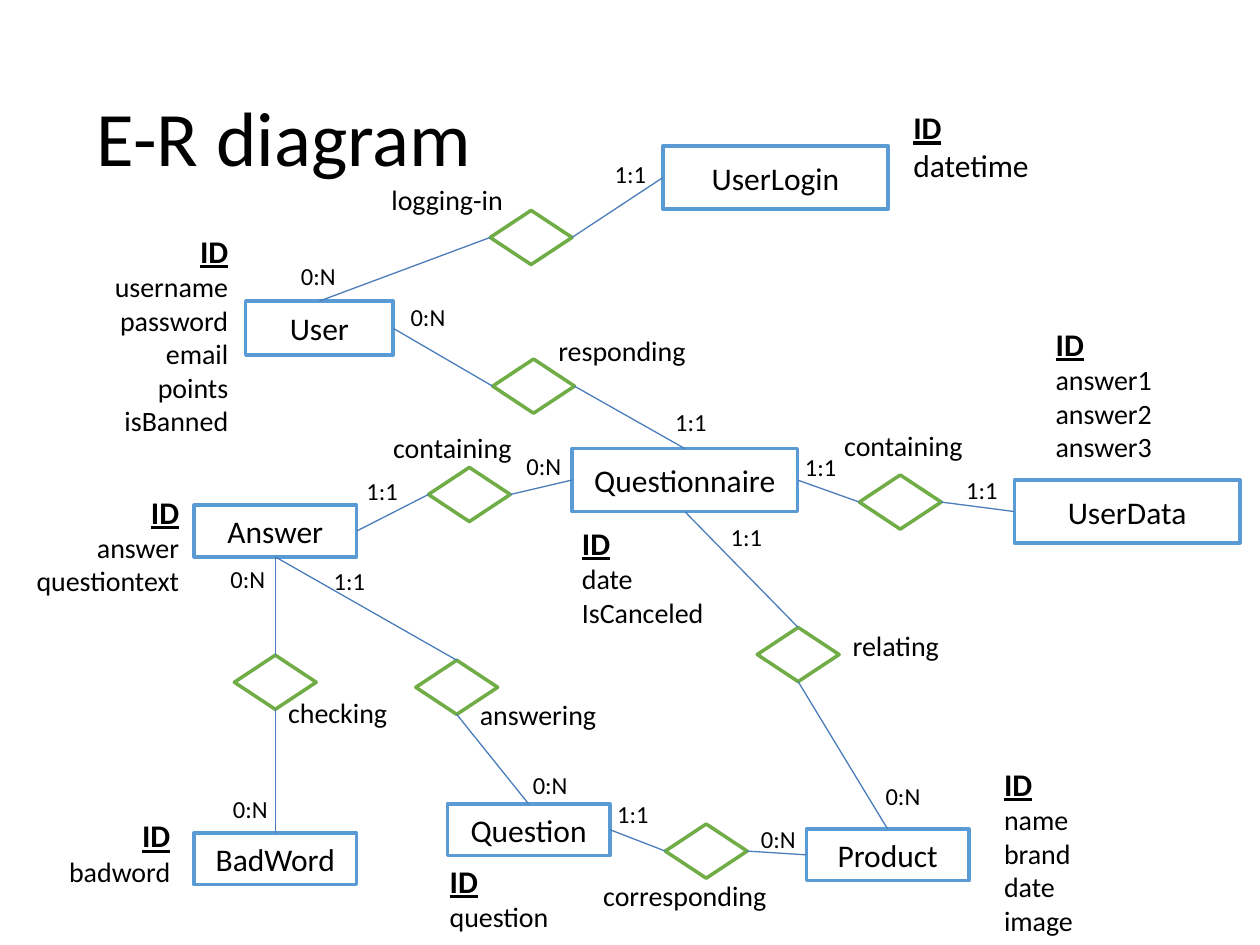
from dataclasses import dataclass

from lxml.etree import SubElement
from pptx import Presentation
from pptx.dml.color import RGBColor
from pptx.enum.shapes import MSO_CONNECTOR, MSO_SHAPE
from pptx.enum.text import MSO_ANCHOR, PP_ALIGN
from pptx.oxml.ns import qn
from pptx.util import Inches, Pt


@dataclass(frozen=True)
class Theme:
    """Colours, font and type sizes of the diagram."""
    font: str = "Calibri"
    text: RGBColor = RGBColor(0x00, 0x00, 0x00)
    paper: RGBColor = RGBColor(0xFF, 0xFF, 0xFF)
    entity: RGBColor = RGBColor(0x5B, 0x9B, 0xD5)
    relation: RGBColor = RGBColor(0x70, 0xAD, 0x47)
    link: RGBColor = RGBColor(0x4A, 0x7D, 0xBA)
    title_size: int = 44
    entity_size: int = 18
    attribute_size: int = 16
    cardinality_size: int = 14
    outline: float = 2
    link_width: float = 0.75


THEME = Theme()
LEFT, CENTER, RIGHT = PP_ALIGN.LEFT, PP_ALIGN.CENTER, PP_ALIGN.RIGHT
SITE = {"top": 0, "left": 1, "bottom": 2, "right": 3}
SMALL, MEDIUM, LARGE = (1.17, 0.43), (1.29, 0.41), (1.79, 0.5)
DIAMOND = (0.65, 0.43)

TITLE = ("E-R diagram", (0.67, 0.4, 8.62, 1.45))

# name: (left, top), size
ENTITIES = {
    "Answer": ((1.54, 4.01), MEDIUM),
    "User": ((1.95, 2.39), SMALL),
    "Questionnaire": ((4.54, 3.56), LARGE),
    "BadWord": ((1.54, 6.61), MEDIUM),
    "UserLogin": ((5.26, 1.16), LARGE),
    "Product": ((6.4, 6.58), MEDIUM),
    "Question": ((3.55, 6.38), MEDIUM),
    "UserData": ((8.05, 3.81), LARGE),
}

# attributes below the ID key, box, alignment, size
ATTRIBUTES = [
    (["username", "password", "email", "points", "isBanned"],
     (0.44, 1.79, 1.47, 1.42), RIGHT, THEME.attribute_size),
    (["answer", "questiontext"], (-0.17, 3.86, 1.69, 1.25), RIGHT, THEME.attribute_size),
    (["name", "brand", "date", "image"], (7.87, 6.02, 1.62, 0.82), LEFT, THEME.attribute_size),
    (["answer1", "answer2", "answer3"], (8.28, 2.53, 1.13, 0.72), LEFT, THEME.attribute_size),
    (["badword"], (0.39, 6.43, 1.06, 0.77), RIGHT, THEME.attribute_size),
    (["question"], (3.47, 6.79, 1.31, 0.72), LEFT, THEME.attribute_size),
    (["datetime"], (7.15, 0.81, 1.31, 0.72), LEFT, THEME.entity_size),
    (["date", "IsCanceled"], (4.52, 4.11, 1.35, 0.79), LEFT, THEME.attribute_size),
]

# label, label box, alignment, diamond (left, top),
# two ends: entity, entity side, diamond side, cardinality, cardinality (left, top)
RELATIONS = [
    ("responding", (4.18, 2.6, 1.36, 0.36), RIGHT, (3.91, 2.85),
     [("User", "right", "left", "0:N", (3.16, 2.35)),
      ("Questionnaire", "top", "right", "1:1", (5.26, 3.18))]),
    ("checking", (2.08, 5.47, 1.2, 0.28), CENTER, (1.86, 5.2),
     [("Answer", "bottom", "top", "0:N", (1.73, 4.43)),
      ("BadWord", "top", "bottom", "0:N", (1.75, 6.25))]),
    ("logging-in", (2.73, 1.4, 1.36, 0.36), RIGHT, (3.89, 1.67),
     [("User", "top", "left", "0:N", (2.29, 2.02)),
      ("UserLogin", "left", "right", "1:1", (4.78, 1.21))]),
    ("corresponding", (4.61, 6.92, 1.65, 0.26), CENTER, (5.28, 6.54),
     [("Question", "right", "left", "1:1", (4.8, 6.29)),
      ("Product", "left", "right", "0:N", (5.94, 6.49))]),
    ("answering", (3.67, 5.49, 1.2, 0.32), CENTER, (3.3, 5.24),
     [("Answer", "bottom", "top", "1:1", (2.55, 4.44)),
      ("Question", "top", "bottom", "0:N", (4.13, 6.06))]),
    ("containing", (2.99, 3.37, 1.2, 0.32), CENTER, (3.4, 3.71),
     [("Answer", "right", "left", "1:1", (2.81, 3.73)),
      ("Questionnaire", "left", "right", "0:N", (4.08, 3.53))]),
    ("containing", (6.57, 3.35, 1.2, 0.32), CENTER, (6.82, 3.77),
     [("Questionnaire", "right", "left", "1:1", (6.29, 3.54)),
      ("UserData", "left", "right", "1:1", (7.57, 3.72))]),
    ("relating", (6.51, 4.94, 1.2, 0.32), CENTER, (6.01, 4.98),
     [("Questionnaire", "bottom", "top", "1:1", (5.7, 4.09)),
      ("Product", "top", "bottom", "0:N", (6.93, 6.15))]),
]
CARDINALITY = (0.62, 0.25)


def format_text(text_frame, size, align):
    """Apply font, size, colour and alignment to every paragraph."""
    for paragraph in text_frame.paragraphs:
        paragraph.alignment = align
        for run in paragraph.runs:
            run.font.name = THEME.font
            run.font.size = Pt(size)
            run.font.color.rgb = THEME.text


def add_text(slide, text, box, size, align=LEFT):
    """Add a wrapping text box and return its text frame."""
    text_frame = slide.shapes.add_textbox(*map(Inches, box)).text_frame
    text_frame.word_wrap = True
    text_frame.text = text
    format_text(text_frame, size, align)
    return text_frame


def add_outlined(slide, kind, corner, size, color, text=""):
    """Add a white shape with a coloured outline and optional centred text."""
    shape = slide.shapes.add_shape(kind, *map(Inches, corner + size))
    shape.shadow.inherit = False
    shape.fill.solid()
    shape.fill.fore_color.rgb = THEME.paper
    shape.line.color.rgb = color
    shape.line.width = Pt(THEME.outline)
    if text:
        shape.text_frame.text = text
        shape.text_frame.vertical_anchor = MSO_ANCHOR.MIDDLE
        format_text(shape.text_frame, THEME.entity_size, CENTER)
    return shape


def add_link(slide, entity, entity_side, diamond, diamond_side):
    """Glue a thin line between an entity and a relation diamond."""
    connector = slide.shapes.add_connector(MSO_CONNECTOR.STRAIGHT, 0, 0, 0, 0)
    connector.begin_connect(entity, SITE[entity_side])
    connector.end_connect(diamond, SITE[diamond_side])
    connector.line.color.rgb = THEME.link
    connector.line.width = Pt(THEME.link_width)
    SubElement(connector._element.spPr, qn("a:effectLst"))


def add_attributes(slide, names, box, align, size):
    """List an entity's attributes under its underlined ID key."""
    text_frame = add_text(slide, "\n".join(["ID"] + names), box, size, align)
    key = text_frame.paragraphs[0].runs[0].font
    key.size = Pt(THEME.entity_size)
    key.bold = key.underline = True


def build():
    """Build the diagram slide and save it."""
    presentation = Presentation()
    presentation.slide_width, presentation.slide_height = Inches(10), Inches(7.5)
    slide = presentation.slides.add_slide(presentation.slide_layouts[6])

    title, title_box = TITLE
    title_frame = add_text(slide, title, title_box, THEME.title_size)
    title_frame.vertical_anchor = MSO_ANCHOR.MIDDLE
    title_frame.paragraphs[0].line_spacing = 0.9

    entities = {
        name: add_outlined(slide, MSO_SHAPE.RECTANGLE, corner, size, THEME.entity, name)
        for name, (corner, size) in ENTITIES.items()
    }
    for attributes in ATTRIBUTES:
        add_attributes(slide, *attributes)
    for label, label_box, align, corner, ends in RELATIONS:
        diamond = add_outlined(slide, MSO_SHAPE.DIAMOND, corner, DIAMOND, THEME.relation)
        add_text(slide, label, label_box, THEME.attribute_size, align)
        for name, entity_side, diamond_side, cardinality, place in ends:
            add_link(slide, entities[name], entity_side, diamond, diamond_side)
            add_text(slide, cardinality, place + CARDINALITY, THEME.cardinality_size)

    presentation.save("out.pptx")


build()
